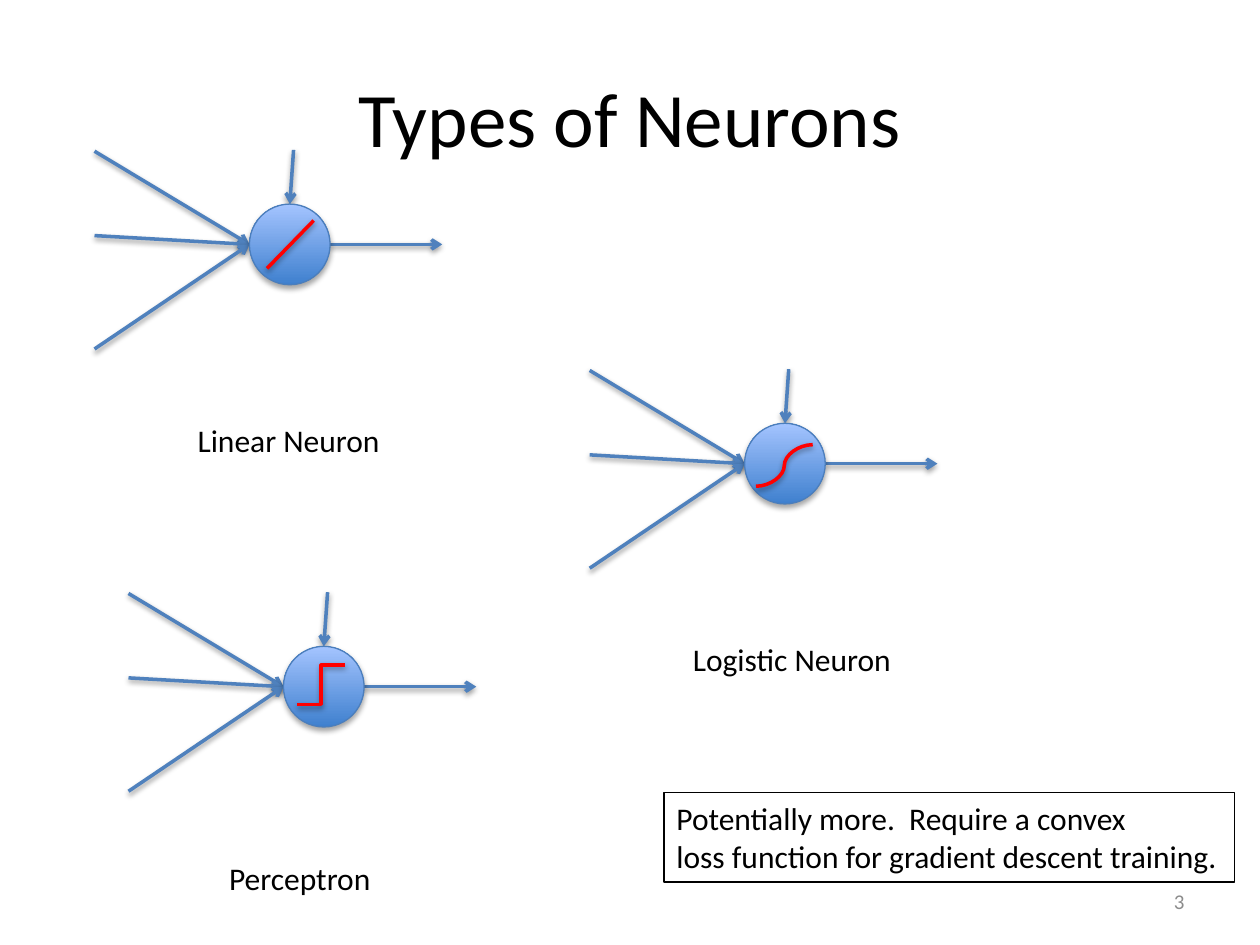
"""Build a slide that compares three types of neurons."""
from lxml import etree
from pptx import Presentation
from pptx.dml.color import RGBColor
from pptx.enum.shapes import MSO_CONNECTOR, MSO_SHAPE
from pptx.enum.text import MSO_ANCHOR, PP_ALIGN
from pptx.oxml.ns import qn
from pptx.util import Emu, Inches, Pt

LINE, CURVE, BENT = MSO_CONNECTOR.STRAIGHT, MSO_CONNECTOR.CURVE, MSO_CONNECTOR.ELBOW
OVAL = MSO_SHAPE.OVAL
TOP, MIDDLE = MSO_ANCHOR.TOP, MSO_ANCHOR.MIDDLE
LEFT, CENTER, RIGHT = PP_ALIGN.LEFT, PP_ALIGN.CENTER, PP_ALIGN.RIGHT

BLACK = RGBColor(0x00, 0x00, 0x00)
GRAY = RGBColor(0x8C, 0x8C, 0x8C)
BLUE = RGBColor(0x4F, 0x81, 0xBD)
EDGE = RGBColor(0x4B, 0x7E, 0xBC)
DARK = RGBColor(0x3F, 0x80, 0xCE)
LIGHT = RGBColor(0xA4, 0xC4, 0xFF)
RED = RGBColor(0xFF, 0x00, 0x00)

SIZE = 0.64
MID = SIZE / 2


def write(frame, text, size=18, color=BLACK, font="Calibri", align=LEFT):
    frame.text = text
    for para in frame.paragraphs:
        para.alignment = align
        para.font.name = font
        para.font.size = Pt(size)
        para.font.color.rgb = color


def shade(effects, drop, alpha):
    shadow = etree.SubElement(effects, qn("a:outerShdw"), blurRad="40000",
                              dist=str(drop), dir="5400000", rotWithShape="0")
    tone = etree.SubElement(shadow, qn("a:srgbClr"), val=str(BLACK))
    etree.SubElement(tone, qn("a:alpha"), val=str(alpha * 1000))


class Deck:
    def __init__(self):
        self.show = Presentation()
        self.show.slide_width, self.show.slide_height = Inches(10), Inches(7.5)
        self.slide = self.show.slides.add_slide(self.show.slide_layouts[6])

    def text(self, box, text, wrap=False, anchor=TOP, border=None, **style):
        shape = self.slide.shapes.add_textbox(*map(Inches, box))
        frame = shape.text_frame
        frame.word_wrap = wrap
        frame.vertical_anchor = anchor
        write(frame, text, **style)
        if border is not None:
            shape.line.color.rgb = border
            shape.line.width = Pt(0.75)

    def line(self, start, end, kind=LINE, color=BLUE, arrow=False):
        link = self.slide.shapes.add_connector(kind, *map(Inches, (*start, *end)))
        link.line.color.rgb = color
        link.line.width = Pt(2)
        props = link._element.spPr
        if arrow:
            etree.SubElement(props.find(qn("a:ln")), qn("a:tailEnd"), type="arrow")
        shade(etree.SubElement(props, qn("a:effectLst")), Emu(20000), 38)

    def body(self, x, y):
        cell = self.slide.shapes.add_shape(OVAL, *map(Inches, (x, y, SIZE, SIZE)))
        cell.fill.gradient()
        cell.fill.gradient_angle = 90
        for stop, color in zip(cell.fill.gradient_stops, (DARK, LIGHT)):
            stop.color.rgb = color
        cell.line.color.rgb = EDGE
        cell.line.width = Pt(0.75)
        cell.shadow.inherit = False
        shade(cell._element.spPr.find(qn("a:effectLst")), Emu(23000), 35)

    def neuron(self, x, y, kind, start, end, label, box):
        for rise in (-0.42, 0.25, 1.15):
            self.line((x - 1.23, y + rise), (x, y + MID), arrow=True)
        self.line((x + 0.35, y - 0.43), (x + MID, y), arrow=True)
        self.line((x + SIZE, y + MID), (x + 1.53, y + MID), arrow=True)
        self.body(x, y)
        self.line(start, end, kind, RED)
        self.text(box, label)


def main():
    deck = Deck()
    deck.text((0.5, 0.3, 9, 1.25), "Types of Neurons", wrap=True, anchor=MIDDLE,
              size=44, align=CENTER)
    deck.neuron(1.98, 1.62, LINE, (2.12, 2.13), (2.49, 1.75),
                "Linear Neuron", (1.47, 3.29, 1.66, 0.4))
    deck.neuron(5.91, 3.36, CURVE, (6, 3.86), (6.45, 3.53),
                "Logistic Neuron", (5.4, 5.03, 1.79, 0.4))
    deck.neuron(2.25, 5.13, BENT, (2.36, 5.59), (2.74, 5.28),
                "Perceptron", (1.72, 6.77, 1.34, 0.4))
    deck.text((5.27, 6.29, 4.53, 0.71),
              "Potentially more.  Require a convex\n"
              "loss function for gradient descent training.", border=BLACK)
    deck.text((7.17, 6.95, 2.33, 0.4), "3", wrap=True, anchor=MIDDLE,
              size=12, color=GRAY, align=RIGHT)
    deck.show.save("out.pptx")


if __name__ == "__main__":
    main()
